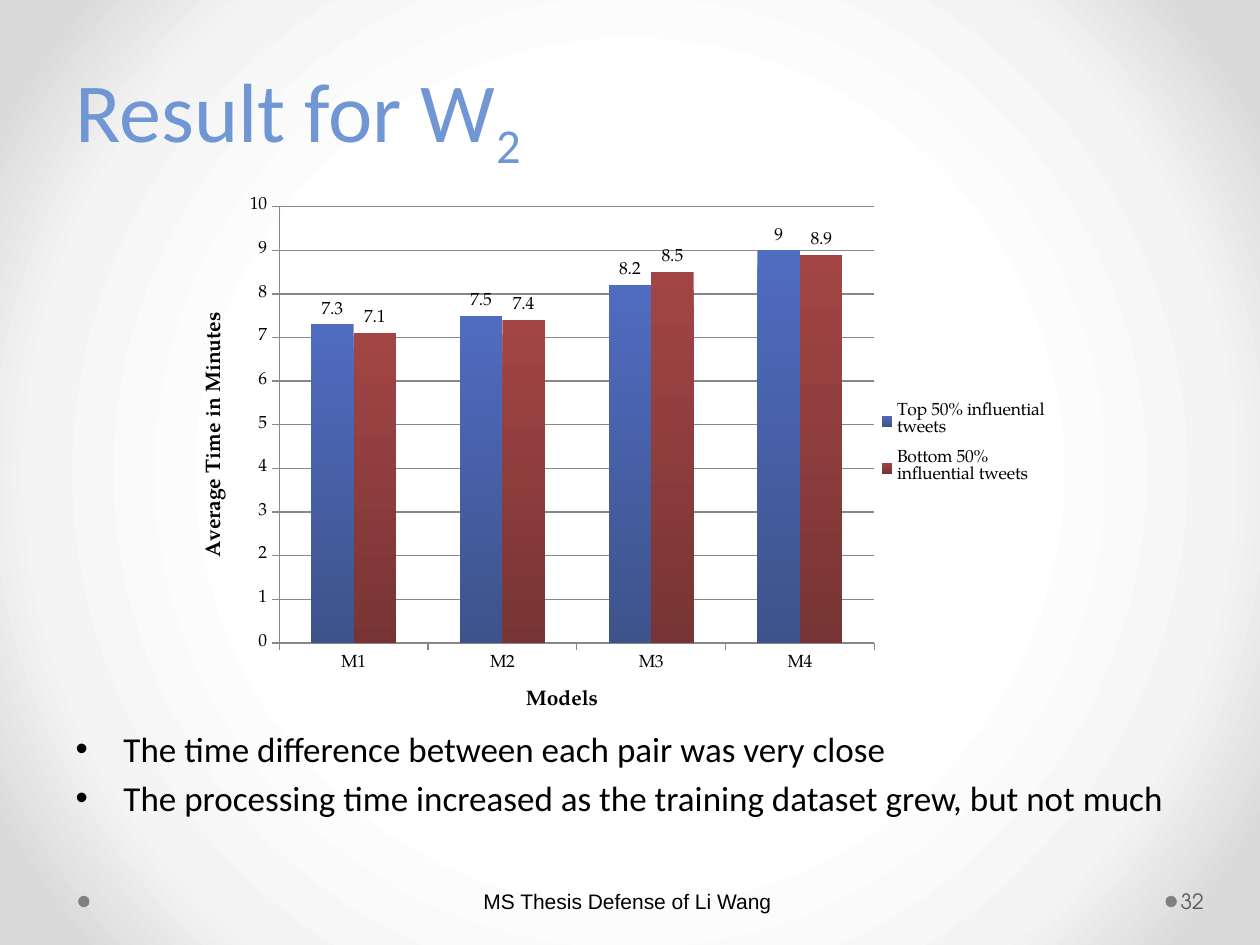
from lxml.etree import SubElement
from pptx import Presentation
from pptx.chart.data import CategoryChartData
from pptx.dml.color import RGBColor
from pptx.enum.chart import XL_CHART_TYPE, XL_LABEL_POSITION, XL_LEGEND_POSITION, XL_TICK_MARK
from pptx.enum.shapes import MSO_SHAPE
from pptx.enum.text import MSO_ANCHOR, MSO_AUTO_SIZE, PP_ALIGN
from pptx.oxml import parse_xml
from pptx.oxml.ns import nsdecls, qn
from pptx.util import Inches, Pt


def color(value):
    return RGBColor.from_string(value)


def set_layout(parent, index, x, y, width, height, inner=False):
    """Place a chart part by shares of the chart's size."""
    for old in parent.findall(qn("c:layout")):
        parent.remove(old)
    layout = parse_xml(f"<c:layout {nsdecls('c')}><c:manualLayout/></c:layout>")
    settings = [("layoutTarget", "inner")] if inner else []
    settings += [("xMode", "edge"), ("yMode", "edge"),
                 ("x", x), ("y", y), ("w", width), ("h", height)]
    for name, value in settings:
        SubElement(layout[0], qn(f"c:{name}")).set("val", str(value))
    parent.insert(index, layout)


class SlideBuilder:
    main_font, chart_font = "Calibri", "TeX Gyre Pagella"
    title_color, text_color, grid_color = "7097D3", "000000", "878787"

    def __init__(self, deck):
        self.deck = deck
        self.page = deck.slides.add_slide(deck.slide_layouts[1])

    def area(self, left, top, width, height):
        """Turn shares of the slide's size into lengths."""
        wide, high = self.deck.slide_width, self.deck.slide_height
        return [int(wide * left), int(high * top), int(wide * width), int(high * height)]

    def style(self, font, size, value=text_color, name=main_font, bold=False):
        font.name, font.size, font.bold = name, Pt(size), bold
        font.color.rgb = color(value)

    def move(self, shape, area):
        shape.left, shape.top, shape.width, shape.height = self.area(*area)
        shape.text_frame.auto_size = MSO_AUTO_SIZE.NONE

    def background(self, stops):
        fill = self.page.background.fill
        fill.gradient()
        gradient = self.page.background._cSld.find(".//" + qn("a:gradFill"))
        marks = "".join(f'<a:gs pos="{share * 1000}"><a:srgbClr val="{value}"/></a:gs>'
                        for share, value in stops)
        gradient.getparent().replace(gradient, parse_xml(
            f'<a:gradFill {nsdecls("a")} rotWithShape="1"><a:gsLst>{marks}</a:gsLst>'
            '<a:path path="circle"><a:fillToRect l="50000" t="50000" r="50000" b="50000"/>'
            '</a:path></a:gradFill>'))

    def dot(self, area):
        dot = self.page.shapes.add_shape(MSO_SHAPE.OVAL, *self.area(*area))
        dot.shadow.inherit = False
        dot.fill.solid()
        dot.fill.fore_color.rgb = color("808080")
        dot.line.fill.background()

    def title(self, area, text, subscript):
        box = self.page.shapes.title
        self.move(box, area)
        box.text_frame.vertical_anchor = MSO_ANCHOR.BOTTOM
        para = box.text_frame.paragraphs[0]
        para.alignment, para.line_spacing = PP_ALIGN.LEFT, Pt(58)
        para.add_run().text = text
        span = para.add_run()
        span.text = subscript
        span.font._element.set("baseline", "-25000")
        self.style(para.font, 48, self.title_color)

    def bullets(self, area, lines):
        box = self.page.placeholders[1]
        self.move(box, area)
        box.text_frame.text = "\n".join(lines)
        for index, para in enumerate(box.text_frame.paragraphs):
            para.space_before = Pt(4 if index else 0)
            properties = para._p.get_or_add_pPr()
            properties.set("marL", str(Inches(0.38)))
            properties.set("indent", str(Inches(-0.38)))
            SubElement(properties, qn("a:buFont")).set("typeface", "Arial")
            SubElement(properties, qn("a:buChar")).set("char", "•")
            self.style(para.font, 20)

    def label(self, area, text, font, value, align, margins):
        box = self.page.shapes.add_textbox(*self.area(*area))
        frame = box.text_frame
        frame.word_wrap, frame.vertical_anchor = True, MSO_ANCHOR.MIDDLE
        frame.margin_left, frame.margin_right = map(Inches, margins)
        frame.text = text
        para = frame.paragraphs[0]
        para.alignment = align
        self.style(para.font, 12, value, font)

    def axis(self, axis, title):
        axis.has_title = True
        axis.axis_title.text_frame.text = title
        para = axis.axis_title.text_frame.paragraphs[0]
        self.style(para.font, 12, name=self.chart_font, bold=True)
        axis.major_tick_mark = XL_TICK_MARK.OUTSIDE
        axis.minor_tick_mark = XL_TICK_MARK.NONE
        axis.format.line.color.rgb = color(self.grid_color)

    def columns(self, area, categories, series, axis_titles):
        data = CategoryChartData()
        data.categories = categories
        for name, values, _ in series:
            data.add_series(name, values)
        chart = self.page.shapes.add_chart(
            XL_CHART_TYPE.COLUMN_CLUSTERED, *self.area(*area), data).chart
        chart.has_title = False
        self.style(chart.font, 10, name=self.chart_font)

        # Axes
        for axis, title in zip((chart.category_axis, chart.value_axis), axis_titles):
            self.axis(axis, title)
        scale = chart.value_axis
        scale.minimum_scale, scale.maximum_scale, scale.major_unit = 0, 10, 1
        scale.major_gridlines.format.line.color.rgb = color(self.grid_color)

        # Columns and their values
        plot = chart.plots[0]
        plot.gap_width, plot.overlap, plot.vary_by_categories = 150, 0, False
        for bars, (_, _, shades) in zip(plot.series, series):
            fill = bars.format.fill
            fill.gradient()
            fill.gradient_angle = 270
            for stop, shade in zip(fill.gradient_stops, shades):
                stop.color.rgb = color(shade)
            bars.data_labels.show_value = True
            bars.data_labels.position = XL_LABEL_POSITION.OUTSIDE_END

        # Legend and plot area
        chart.has_legend = True
        chart.legend.position = XL_LEGEND_POSITION.RIGHT
        chart.legend.include_in_layout = False
        set_layout(chart.legend._element, 1, 0.79, 0.37, 0.2, 0.19)
        plot_area = chart._chartSpace.find(".//" + qn("c:plotArea"))
        set_layout(plot_area, 0, 0.12, 0.04, 0.67, 0.78, inner=True)


def main():
    deck = Presentation()
    deck.slide_width, deck.slide_height = Inches(10), Inches(7.5)
    slide = SlideBuilder(deck)

    # Backdrop and footer dots
    slide.background([(50, "FFFFFF"), (76, "F4F4F4"), (92, "DADADA")])
    for left in (0.925, 0.062):
        slide.dot((left, 0.948, 0.009, 0.012))

    # Title and findings
    slide.title((0.05, 0.04, 0.9, 0.15), "Result for W", "2")
    slide.bullets((0.05, 0.763, 0.9, 0.13), [
        "The time difference between each pair was very close",
        "The processing time increased as the training dataset grew, but not much",
    ])

    # Footer
    slide.label((0.345, 0.927, 0.311, 0.053), "MS Thesis Defense of Li Wang",
                "Arial", "000000", PP_ALIGN.CENTER, (0.05, 0.1))
    slide.label((0.934, 0.927, 0.061, 0.053), "32",
                "TeX Gyre Adventor", "595959", PP_ALIGN.LEFT, (0.03, 0.05))

    # Time per model
    slide.columns((0.137, 0.195, 0.705, 0.592), ["M1", "M2", "M3", "M4"], [
        ("Top 50% influential tweets", (7.3, 7.5, 8.2, 9), ("506CC0", "3E538B")),
        ("Bottom 50% influential tweets", (7.1, 7.4, 8.5, 8.9), ("A34545", "783434")),
    ], ("Models", "Average Time in Minutes"))

    deck.save("out.pptx")


if __name__ == "__main__":
    main()
